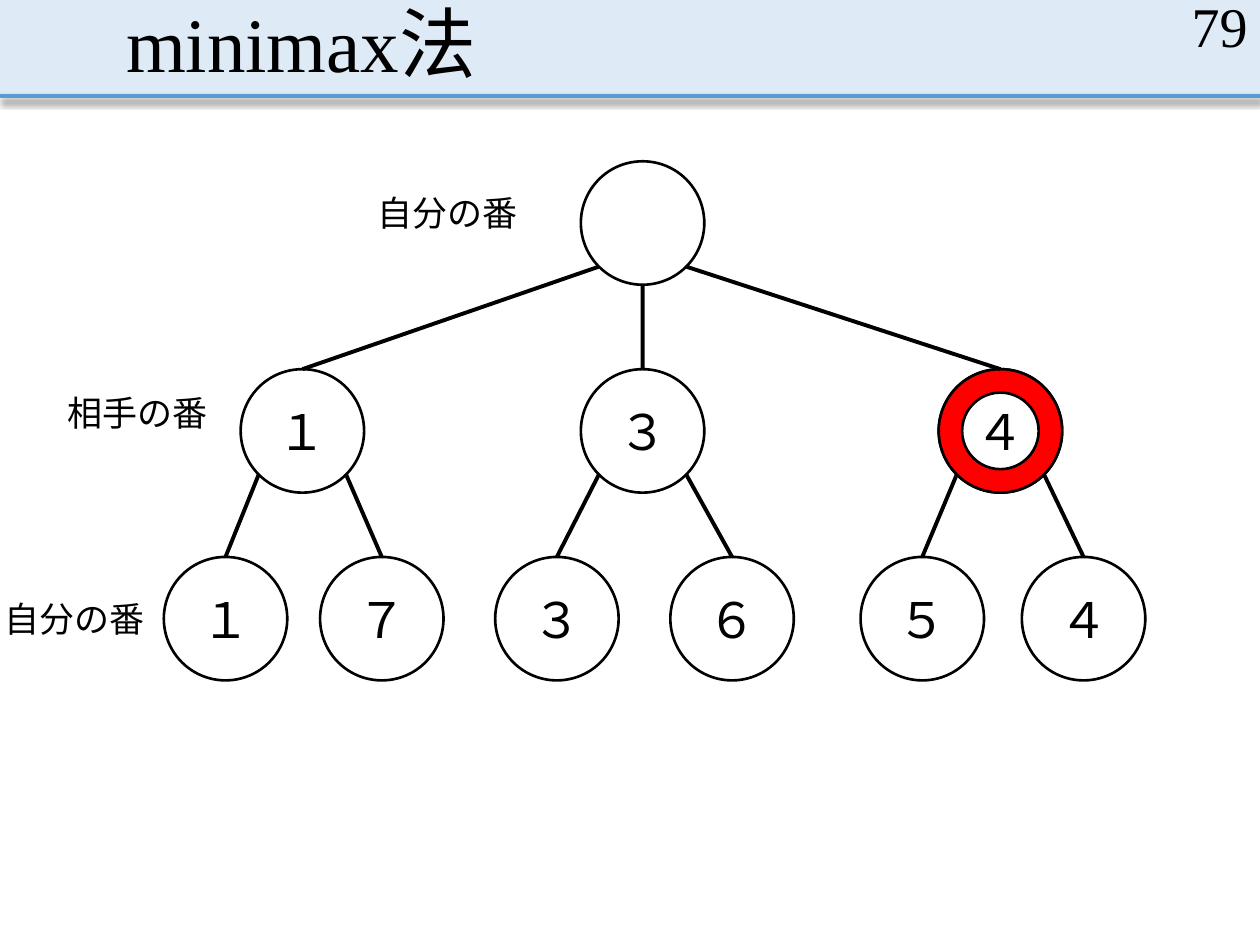
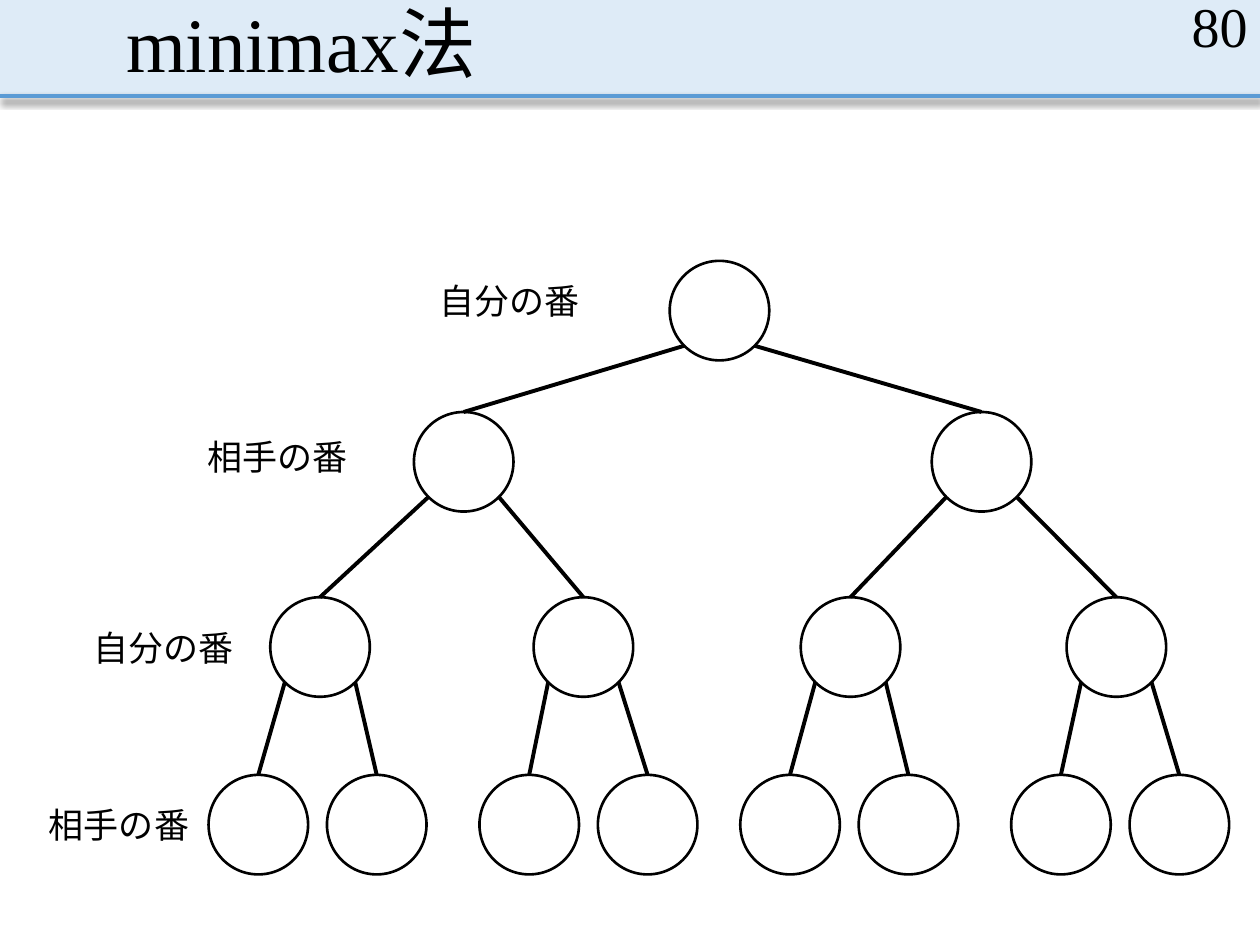
import math
from dataclasses import dataclass

from lxml import etree
from pptx import Presentation
from pptx import util as u
from pptx.dml.color import RGBColor
from pptx.enum import shapes, text
from pptx.oxml import parse_xml
from pptx.oxml.ns import nsdecls, qn

FONT = "Times New Roman"
BLACK, WHITE, RED = "000000", "FFFFFF", "FF0000"
BAND_FILL, BAND_LINE = "DEEBF7", "5B9BD5"
BAND_HEIGHT = 0.76
TITLE = "minimax法"
MY_TURN, OPPONENT_TURN = "自分の番", "相手の番"


@dataclass(frozen=True)
class Node:
    center: float
    value: str = ""
    children: tuple["Node", ...] = ()
    chosen: bool = False


@dataclass(frozen=True)
class TurnLabel:
    turn: str
    left: float
    top: float


@dataclass(frozen=True)
class TreeSlide:
    number: int
    diameter: float
    level_tops: tuple[float, ...]
    root: Node
    labels: tuple[TurnLabel, ...]


TREES = (
    TreeSlide(
        79, 0.98, (1.28, 2.93, 4.42),
        Node(5.1, children=(
            Node(2.4, "１", (Node(1.79, "１"), Node(3.03, "７"))),
            Node(5.1, "３", (Node(4.42, "３"), Node(5.81, "６"))),
            Node(7.94, "４", (Node(7.32, "５"), Node(8.6, "４")), chosen=True),
        )),
        (TurnLabel(MY_TURN, 2.9, 1.47),
         TurnLabel(OPPONENT_TURN, 0.44, 3.06),
         TurnLabel(MY_TURN, -0.06, 4.69)),
    ),
    TreeSlide(
        80, 0.79, (2.07, 3.27, 4.74, 6.15),
        Node(5.71, children=(
            Node(3.68, children=(
                Node(2.54, children=(Node(2.05), Node(2.99))),
                Node(4.63, children=(Node(4.2), Node(5.14))),
            )),
            Node(7.79, children=(
                Node(6.75, children=(Node(6.27), Node(7.21))),
                Node(8.86, children=(Node(8.42), Node(9.36))),
            )),
        )),
        (TurnLabel(MY_TURN, 3.39, 2.17),
         TurnLabel(OPPONENT_TURN, 1.55, 3.41),
         TurnLabel(MY_TURN, 0.64, 4.92),
         TurnLabel(OPPONENT_TURN, 0.29, 6.33)),
    ),
)


def color(value: str) -> RGBColor:
    return RGBColor.from_string(value)


def write(frame, content: str, size: float, alignment, anchor) -> None:
    frame.vertical_anchor = anchor
    paragraph = frame.paragraphs[0]
    paragraph.alignment = alignment
    run = paragraph.add_run()
    run.text = content
    run.font.name = FONT
    run.font.size = u.Pt(size)
    run.font.color.rgb = color(BLACK)


def add_text(slide, content: str, left: float, top: float, width: float,
             height: float, size: float, alignment, anchor) -> None:
    box = slide.shapes.add_textbox(*map(u.Inches, (left, top, width, height)))
    box.text_frame.word_wrap = True
    write(box.text_frame, content, size, alignment, anchor)


def add_preset(slide, kind, left: float, top: float, width: float,
               height: float, fill: str, line: str | None = None):
    shape = slide.shapes.add_shape(kind, *map(u.Inches, (left, top, width, height)))
    shape.shadow.inherit = False
    shape.fill.solid()
    shape.fill.fore_color.rgb = color(fill)
    if line:
        shape.line.color.rgb = color(line)
        shape.line.width = u.Pt(1.5)
    else:
        shape.line.fill.background()
    return shape


def add_line(slide, start: tuple[float, float], end: tuple[float, float],
             line: str):
    connector = slide.shapes.add_connector(
        shapes.MSO_CONNECTOR.STRAIGHT, *map(u.Inches, (*start, *end)))
    connector.line.color.rgb = color(line)
    connector.line.width = u.Pt(2.25)
    etree.SubElement(connector.element.spPr, qn("a:effectLst"))
    return connector


def add_band_to_layout(slide) -> None:
    band = add_preset(slide, shapes.MSO_SHAPE.RECTANGLE, 0, 0, 10, BAND_HEIGHT,
                      BAND_FILL)
    rule = add_line(slide, (0, BAND_HEIGHT), (10, BAND_HEIGHT), BAND_LINE)
    rule.element.spPr.find(qn("a:effectLst")).append(parse_xml(
        f'<a:outerShdw {nsdecls("a")} blurRad="{u.Pt(4)}" dist="{u.Pt(2.5)}" '
        f'dir="5400000" algn="t" rotWithShape="0"><a:srgbClr val="{BLACK}">'
        '<a:alpha val="47000"/></a:srgbClr></a:outerShdw>'))
    layout_tree = slide.slide_layout.shapes.element
    for position, shape in enumerate((band, rule), start=2):
        layout_tree.insert(position, shape.element)


def add_heading(slide, number: int) -> None:
    title = slide.shapes.title
    title.left, title.top = u.Inches(0.9), u.Inches(0)
    title.width, title.height = u.Inches(8.25), u.Inches(BAND_HEIGHT)
    frame = title.text_frame
    frame.auto_size = text.MSO_AUTO_SIZE.NONE
    write(frame, TITLE, 44, text.PP_ALIGN.LEFT, text.MSO_ANCHOR.BOTTOM)
    frame.paragraphs[0].line_spacing = 0.9
    add_text(slide, str(number), 7.75, 0, 2.25, 0.4, 32,
             text.PP_ALIGN.RIGHT, text.MSO_ANCHOR.MIDDLE)


def add_node(slide, tree: TreeSlide, node: Node, level: int = 0):
    radius = tree.diameter / 2
    top = tree.level_tops[level]
    bounds = (node.center - radius, top, tree.diameter, tree.diameter)
    circle = add_preset(slide, shapes.MSO_SHAPE.OVAL, *bounds, WHITE, BLACK)
    if node.value:
        write(circle.text_frame, node.value, 28,
              text.PP_ALIGN.CENTER, text.MSO_ANCHOR.MIDDLE)
    for index, child in enumerate(node.children):
        child_circle = add_node(slide, tree, child, level + 1)
        angle = math.radians(135 - 90 * index / (len(node.children) - 1))
        start = (node.center + radius * math.cos(angle),
                 top + radius + radius * math.sin(angle))
        edge = add_line(slide, start,
                        (child.center, tree.level_tops[level + 1]), BLACK)
        edge.end_connect(child_circle, 0)
    if node.chosen:
        ring = add_preset(slide, shapes.MSO_SHAPE.DONUT, *bounds, RED, BLACK)
        ring.adjustments[0] = 0.19
    return circle


def main() -> None:
    presentation = Presentation()
    presentation.slide_width = u.Inches(10)
    presentation.slide_height = u.Inches(7.5)
    title_only = presentation.slide_layouts[5]
    for index, tree in enumerate(TREES):
        slide = presentation.slides.add_slide(title_only)
        if index == 0:
            add_band_to_layout(slide)
        add_heading(slide, tree.number)
        add_node(slide, tree, tree.root)
        for label in tree.labels:
            add_text(slide, label.turn, label.left, label.top, 1.36, 0.44, 20,
                     text.PP_ALIGN.LEFT, text.MSO_ANCHOR.TOP)
    presentation.save("out.pptx")


if __name__ == "__main__":
    main()
